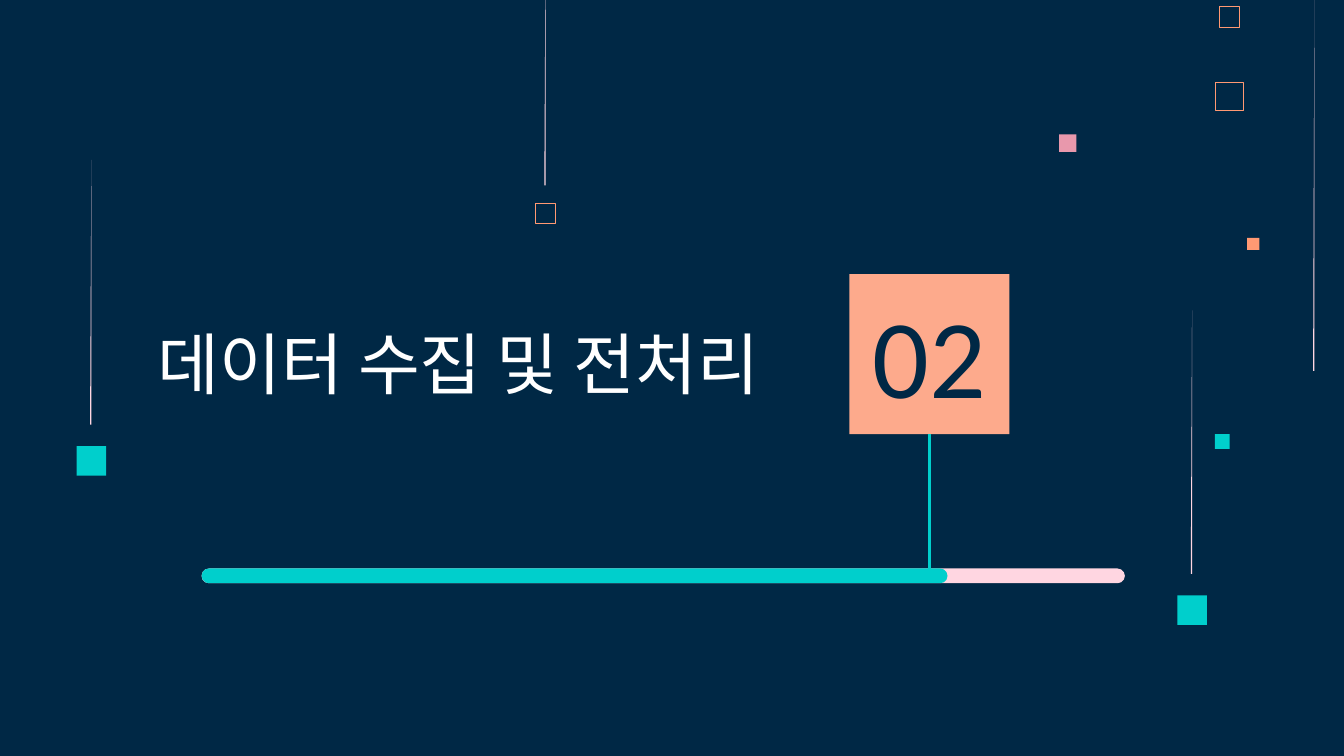
from lxml.etree import SubElement as Sub
from pptx import Presentation as Deck
from pptx.dml.color import RGBColor as Rgb
from pptx.enum.shapes import MSO_CONNECTOR as Link, MSO_SHAPE as Kind
from pptx.enum.text import MSO_ANCHOR as Anchor, MSO_AUTO_SIZE as Auto, PP_ALIGN as Align
from pptx.oxml.ns import qn
from pptx.util import Inches, Pt

NAVY = Rgb(0x00, 0x28, 0x45)
TEAL = Rgb(0x00, 0xCF, 0xCC)
BLUSH = Rgb(0xFF, 0xD6, 0xE1)
ROSE = Rgb(0xE8, 0x98, 0xAC)
CORAL = Rgb(0xFF, 0x99, 0x73)
PEACH = Rgb(0xFD, 0xAA, 0x8C)
WHITE = Rgb(0xFF, 0xFF, 0xFF)


def paint(shape, fill=None, line=None, width=0.32):
    """Give a shape a plain fill or outline and no shadow."""
    shape.shadow.inherit = False
    if fill is None:
        shape.fill.background()
    else:
        shape.fill.solid()
        shape.fill.fore_color.rgb = fill
    if line is None:
        shape.line.fill.background()
    else:
        shape.line.color.rgb = line
        shape.line.width = Pt(width)


def block(slide, kind, box, **look):
    """Add a painted preset shape in a box given in inches."""
    shape = slide.shapes.add_shape(kind, *map(Inches, box))
    paint(shape, **look)
    return shape


def streak(slide, left, top, high):
    """Draw a thin wedge that widens towards its foot."""
    pen = slide.shapes.build_freeform(Inches(left + 0.01), Inches(top))
    foot = Inches(top + high)
    pen.add_line_segments([(Inches(left), foot), (Inches(left + 0.01), foot)])
    paint(pen.convert_to_shape(), fill=BLUSH)


def drop(slide, left, top, high, gap, size, **look):
    """Hang a square, centred, below a streak."""
    streak(slide, left, top, high)
    box = (left + 0.01 - size / 2, top + high + gap, size, size)
    block(slide, Kind.RECTANGLE, box, **look)


def decor(slide):
    """Scatter the squares and streaks around the slide."""
    squares = [
        (7.88, 1, 0.13, {"fill": ROSE}),
        (9.04, 3.23, 0.11, {"fill": TEAL}),
        (9.04, 0.61, 0.21, {"line": CORAL, "width": 0.45}),
        (9.07, 0.05, 0.15, {"line": CORAL}),
        (9.28, 1.77, 0.09, {"fill": CORAL}),
    ]
    for left, top, size, look in squares:
        block(slide, Kind.RECTANGLE, (left, top, size, size), **look)
    streak(slide, 9.77, 0, 2.76)
    drop(slide, 4.05, -0.48, 1.86, 0.13, 0.15, line=CORAL)
    for left, top, high in ((8.86, 2.31, 1.96), (0.67, 1.19, 1.97)):
        drop(slide, left, top, high, 0.16, 0.22, fill=TEAL)


def label(holder, box, text, anchor, look):
    """Place a placeholder in its box and format its one line of text."""
    for name, value in zip(("left", "top", "width", "height"), box):
        setattr(holder, name, Inches(value))
    frame = holder.text_frame
    frame.text = text
    sides = {f"margin_{side}": Inches(0.1) for side in ("left", "right", "top", "bottom")}
    form = {"word_wrap": True, "auto_size": Auto.NONE, "vertical_anchor": anchor, **sides}
    for name, value in form.items():
        setattr(frame, name, value)
    para = frame.paragraphs[0]
    para.alignment = Align.CENTER
    para.space_before = Pt(0)
    font = para.runs[0].font
    font.color.rgb = look["color"]
    for name in ("name", "size"):
        setattr(font, name, look[name])
    Sub(font._element, qn("a:ea"), typeface=look["name"])


def badge(slide, holder, box):
    """Put the section number on a square card."""
    left, top, wide, high = box
    card = block(slide, Kind.RECTANGLE, box, fill=PEACH)
    card.element.addnext(holder.element)
    inner = (left + 0.06, top + 0.28, wide - 0.12, high - 0.56)
    look = {"name": "Calibri", "size": Pt(60), "color": NAVY}
    label(holder, inner, "02", Anchor.MIDDLE, look)


def meter(slide, box, done, card):
    """Draw the progress bar and the stem that rises to the card."""
    left, top, wide, high = box
    for span, color in ((wide, BLUSH), (done, TEAL)):
        bar = block(slide, Kind.ROUNDED_RECTANGLE, (left, top, span, high), fill=color)
        bar.adjustments[0] = 0.5
    mid = card[0] + card[2] / 2
    ends = (mid, card[1] + card[3], mid, top + 0.07)
    stem = slide.shapes.add_connector(Link.STRAIGHT, *map(Inches, ends))
    stem.line.color.rgb = TEAL
    stem.line.width = Pt(1.5)
    Sub(stem.element.spPr, qn("a:effectLst"))


def main():
    """Build the section slide and save it."""
    deck = Deck()
    deck.slide_width = Inches(10)
    deck.slide_height = deck.slide_width * 9 // 16
    slide = deck.slides.add_slide(deck.slide_layouts[0])
    slide.background.fill.solid()
    slide.background.fill.fore_color.rgb = NAVY
    title, number = slide.placeholders
    decor(slide)
    look = {"name": "Noto Sans CJK KR", "size": Pt(36), "color": WHITE}
    label(title, (0.5, 2.18, 5.82, 0.92), "데이터 수집 및 전처리", Anchor.BOTTOM, look)
    card = (6.32, 2.04, 1.19, 1.19)
    badge(slide, number, card)
    meter(slide, (1.5, 4.23, 6.87, 0.11), 5.55, card)
    deck.save("out.pptx")


if __name__ == "__main__":
    main()
